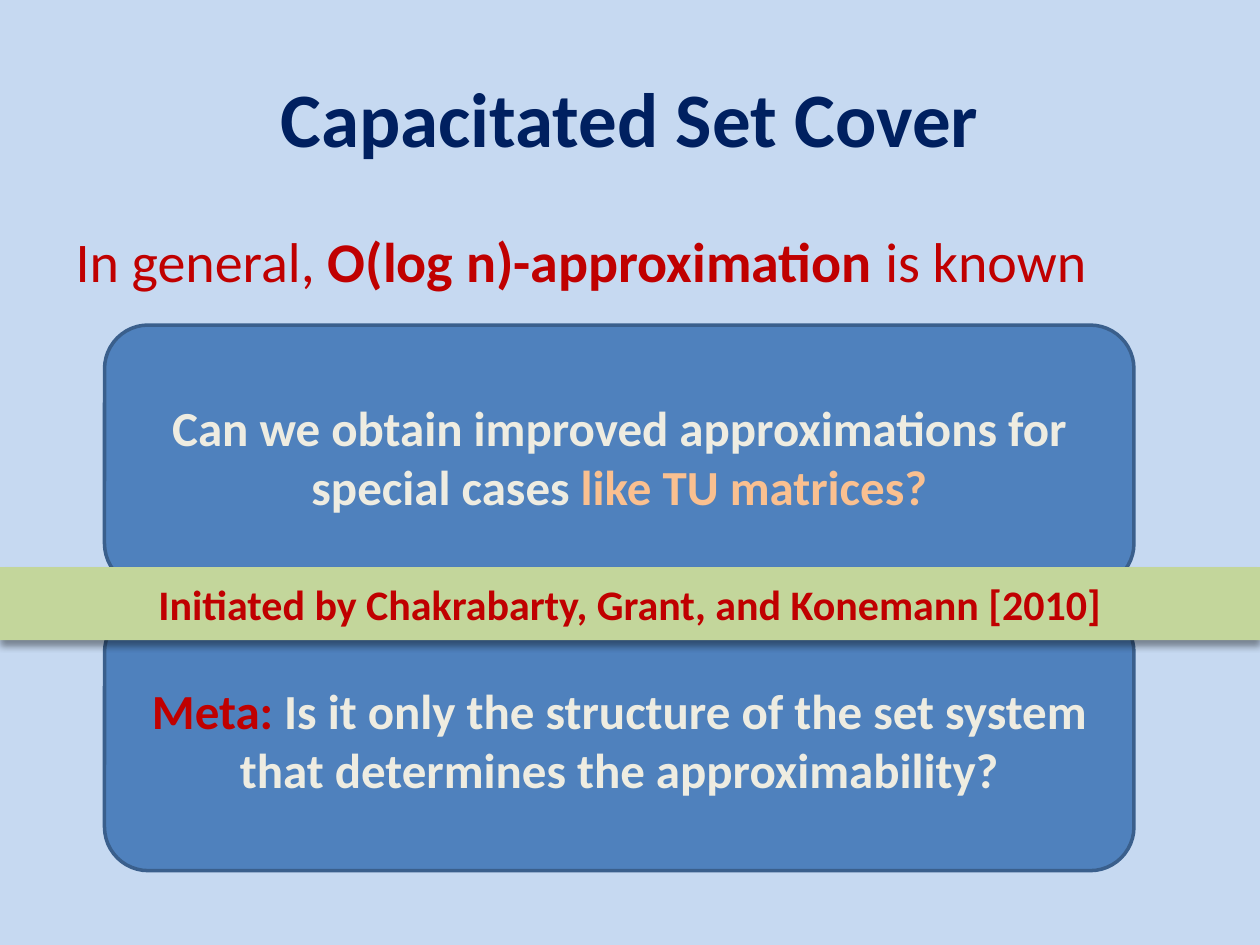
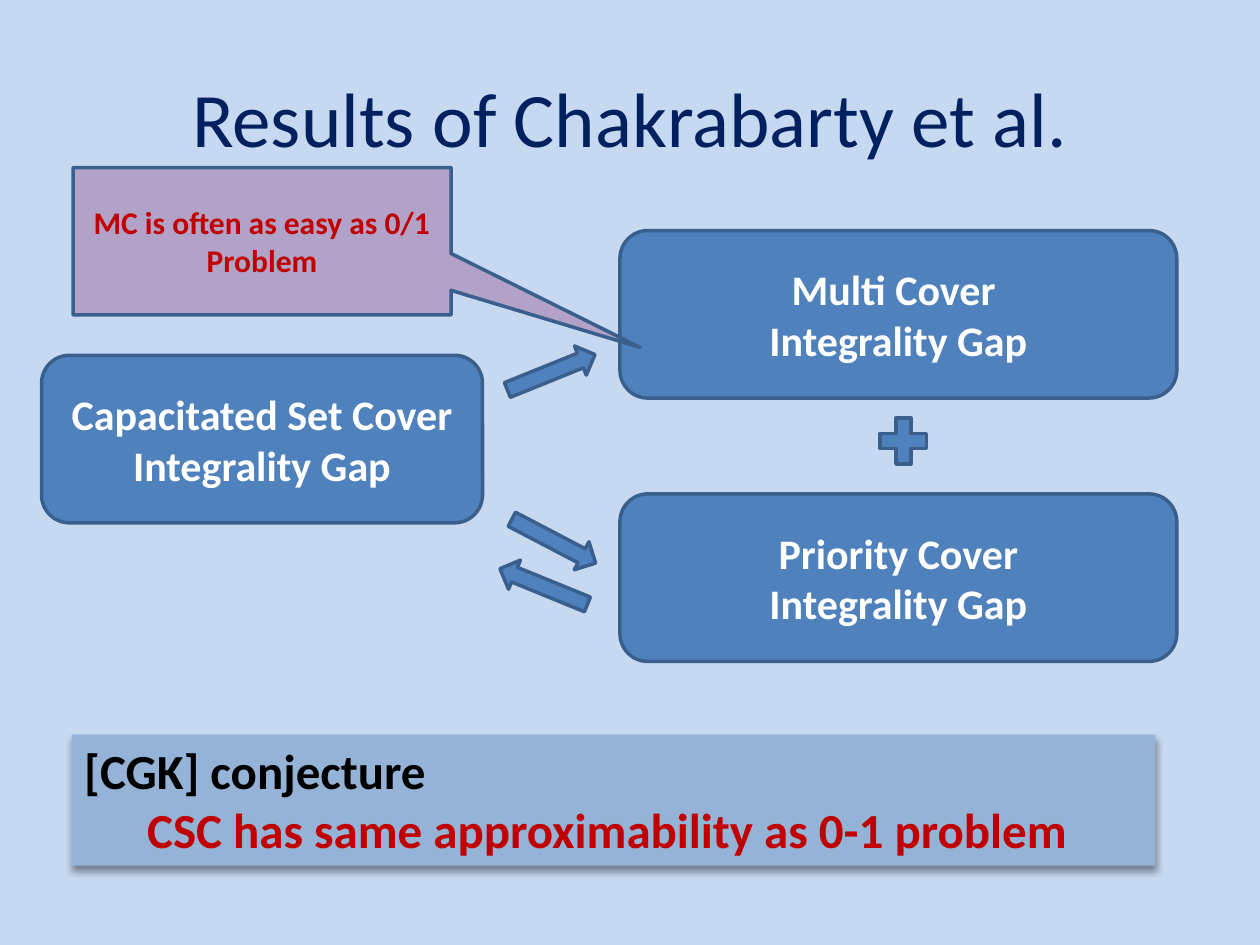
from lxml import etree
from pptx import Presentation
from pptx.dml.color import RGBColor
from pptx.enum.shapes import MSO_SHAPE as Kind
from pptx.enum.text import MSO_ANCHOR as Anchor, MSO_AUTO_SIZE as Auto, PP_ALIGN as Align
from pptx.oxml.ns import qn
from pptx.util import Inches, Pt

FONT = "Calibri"
HUES = {
    "back": "C6D9F1", "navy": "002060", "red": "C00000", "blue": "4F81BD",
    "edge": "3A5F8C", "cream": "EEECE1", "peach": "FAC090", "green": "C3D69B",
    "sky": "95B3D7", "mauve": "B3A2C7", "white": "FFFFFF", "black": "000000",
}

# Content: a text is a list of lines, a line a list of (words, hue[, bold])
KNOWN = [[("In general, ", "red", False), ("O(log n)-approximation", "red"),
          (" is known", "red", False)]]
ASKS = [
    [[("Meta: ", "red"),
      ("Is it only the structure of the set system that determines "
       "the approximability?", "cream")]],
    [[("Can we obtain improved approximations for special cases ", "cream"),
      ("like TU matrices?", "peach")]],
]
CREDIT = [[("Initiated by Chakrabarty, Grant, and Konemann [2010]", "red")]]
GAPS = [  # name, left, top, width
    ("Capacitated Set Cover", 0.33, 2.82, 3.5),
    ("Multi Cover ", 4.92, 1.83, 4.42),
    ("Priority Cover", 4.92, 3.92, 4.42),
]
ARROWS = [(4, 2.83, 338), (3.94, 4.53, 202.2), (4.02, 4.17, 27.6)]  # left, top, turn
HINT = [[("MC is often as easy as 0/1 Problem", "red")]]
GUESS = [[("[CGK] conjecture", "black")],
         [("\tCSC has same approximability as 0-1 problem", "red")]]


def rgb(hue):
    return RGBColor.from_string(HUES[hue])


def write(shape, lines, size, align=Align.CENTER, anchor=Anchor.MIDDLE,
          wrap=True, fit=Auto.NONE):
    frame = shape.text_frame
    frame.word_wrap, frame.auto_size = wrap, fit
    frame.vertical_anchor = anchor
    for i, line in enumerate(lines):
        para = frame.add_paragraph() if i else frame.paragraphs[0]
        para.alignment = align
        for words, hue, *bold in line:
            run = para.add_run()
            run.text = words
            font = run.font
            font.name, font.size = FONT, Pt(size)
            font.bold = bold[0] if bold else True
            font.color.rgb = rgb(hue)


def place(shape, left, top, wide, high):
    shape.left, shape.top = Inches(left), Inches(top)
    shape.width, shape.height = Inches(wide), Inches(high)


def draw(slide, kind, box, fill="blue", turn=0):
    shape = slide.shapes.add_shape(kind, *map(Inches, box))
    shape.shadow.inherit = False
    shape.fill.solid()
    shape.fill.fore_color.rgb = rgb(fill)
    shape.line.color.rgb = rgb("edge")
    shape.line.width = Pt(2)
    shape.rotation = turn
    return shape


def band(slide, box, fill):
    """A borderless bar with a soft shadow below it."""
    shape = draw(slide, Kind.RECTANGLE, box, fill)
    shape.line.fill.background()
    effects = shape._element.spPr.find(qn("a:effectLst"))
    cast = etree.SubElement(effects, qn("a:outerShdw"), blurRad=str(Pt(4)),
                            dist=str(Pt(3)), dir=str(90 * 60000), rotWithShape="0")
    tint = etree.SubElement(cast, qn("a:srgbClr"), val=HUES["black"])
    etree.SubElement(tint, qn("a:alpha"), val="40000")
    return shape


def start(deck, layout, title, bold):
    slide = deck.slides.add_slide(deck.slide_layouts[layout])
    slide.background.fill.solid()
    slide.background.fill.fore_color.rgb = rgb("back")
    place(slide.shapes.title, 0.5, 0.3, 9, 1.25)
    write(slide.shapes.title, [[(title, "navy", bold)]], 44)
    return slide


deck = Presentation()
deck.slide_width, deck.slide_height = Inches(10), Inches(7.5)

# Slide 1: the open questions
slide = start(deck, 1, "Capacitated Set Cover", True)
body = slide.placeholders[1]
place(body, 0.5, 1.75, 9, 4.95)
write(body, KNOWN, 32, align=Align.LEFT, anchor=Anchor.TOP)
props = body.text_frame.paragraphs[0]._p.get_or_add_pPr()
props.set("marL", str(Inches(0.38)))
props.set("indent", str(Inches(-0.38)))
etree.SubElement(props, qn("a:buNone"))
for i, ask in enumerate(ASKS):
    box = (0.83, 4.83 - 2.25 * i, 8.17, 2.08)
    write(draw(slide, Kind.ROUNDED_RECTANGLE, box), ask, 28)
write(band(slide, (0, 4.5, 10, 0.58), "green"), CREDIT, 24)

# Slide 2: how the integrality gaps relate
slide = start(deck, 5, "Results of Chakrabarty et al.", False)
for name, left, top, wide in GAPS:
    card = draw(slide, Kind.ROUNDED_RECTANGLE, (left, top, wide, 1.33))
    write(card, [[(name, "white")], [("Integrality Gap", "white")]], 24)
for left, top, turn in ARROWS:
    draw(slide, Kind.RIGHT_ARROW, (left, top, 0.75, 0.25), turn=turn)
draw(slide, Kind.MATH_PLUS, (6.92, 3.25, 0.5, 0.5))

# Conjecture bar and callout
write(band(slide, (0.57, 5.83, 8.6, 1.04), "sky"), GUESS, 28, align=Align.LEFT,
      anchor=Anchor.TOP, wrap=False, fit=Auto.SHAPE_TO_FIT_TEXT)
note = draw(slide, Kind.RECTANGULAR_CALLOUT, (0.58, 1.33, 3, 1.17), "mauve")
note.adjustments[0], note.adjustments[1] = 1, 0.72
write(note, HINT, 18)

deck.save("out.pptx")
